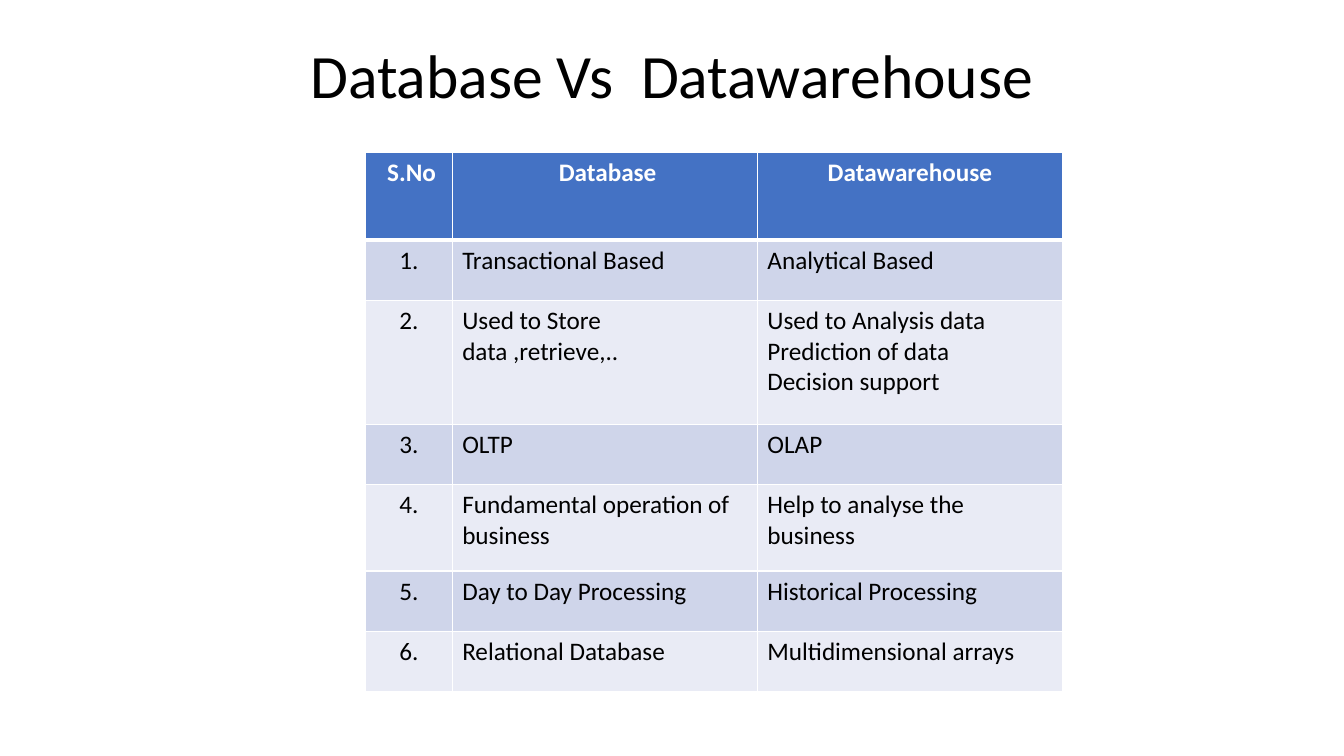
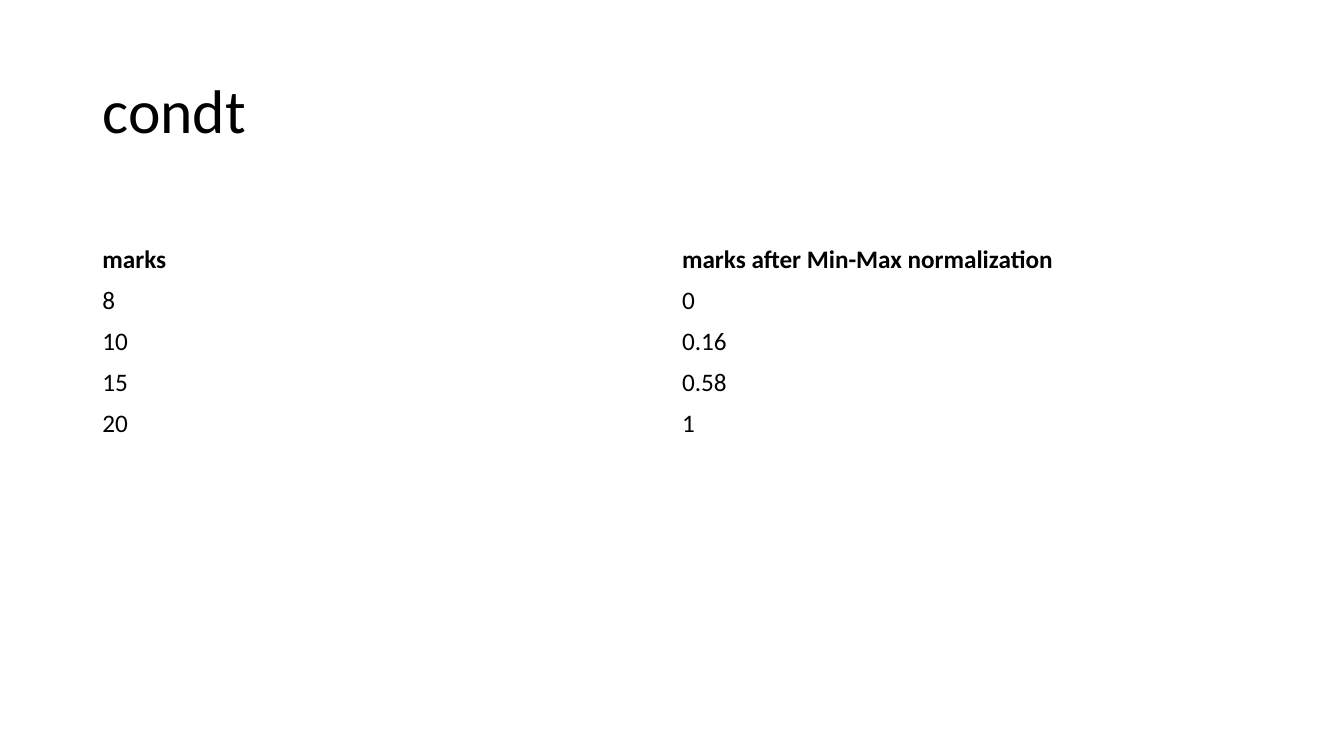
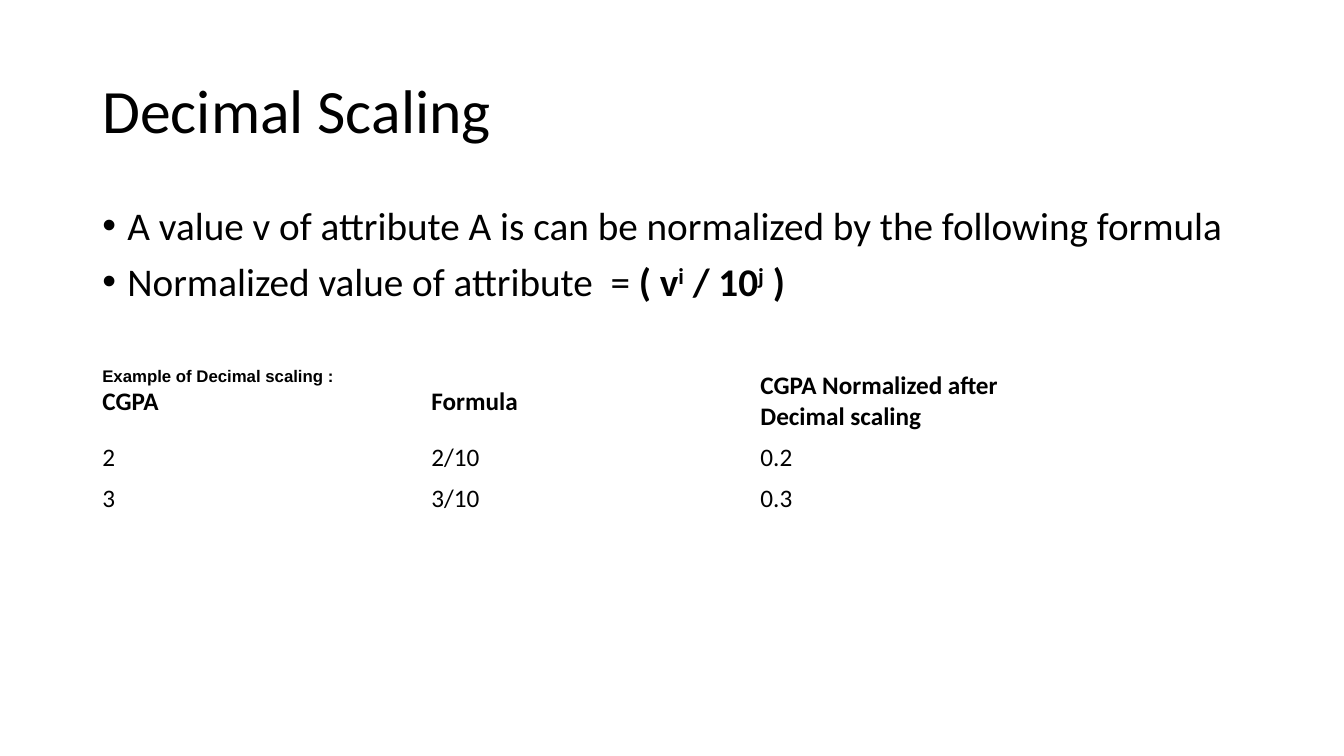
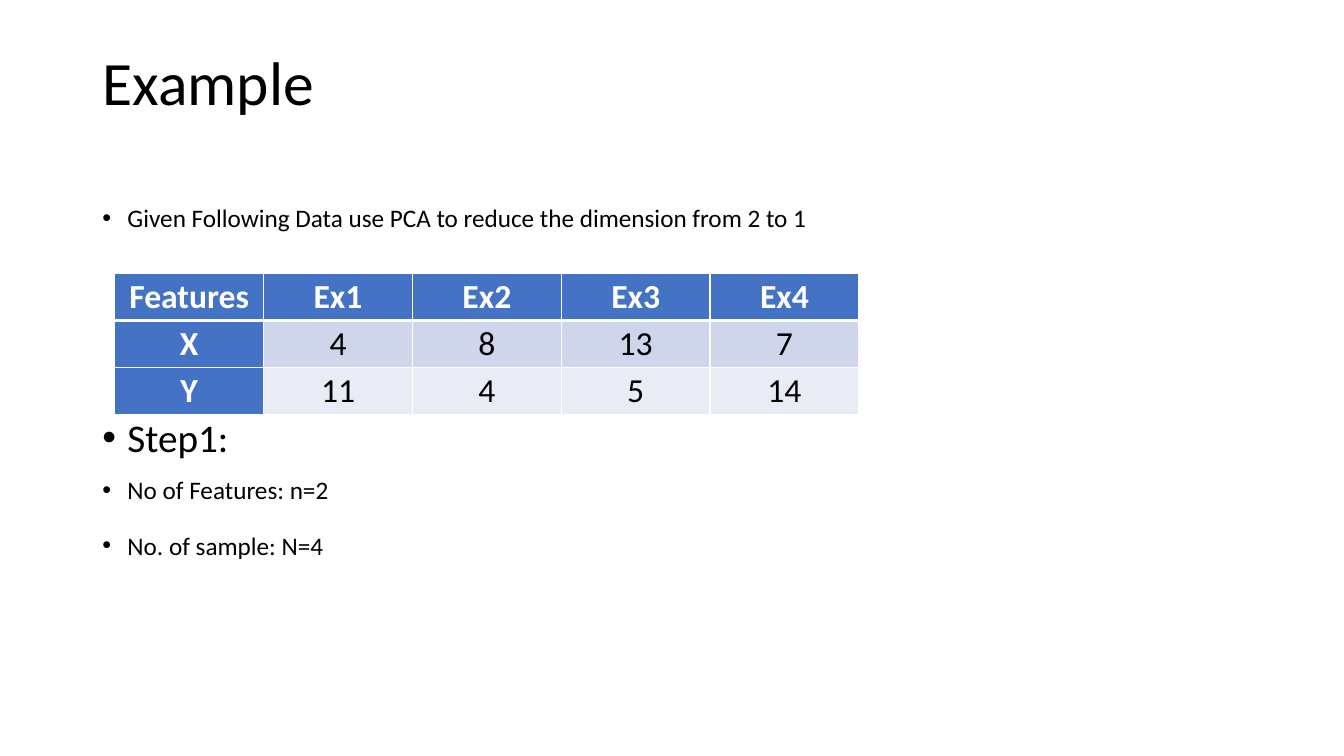
from lxml import etree
from pptx import Presentation
from pptx.dml.color import RGBColor
from pptx.enum.text import MSO_ANCHOR, MSO_AUTO_SIZE, PP_ALIGN
from pptx.oxml.ns import qn
from pptx.util import Pt

BLACK = RGBColor(0x00, 0x00, 0x00)
WHITE = RGBColor(0xFF, 0xFF, 0xFF)
BLUE = RGBColor(0x44, 0x72, 0xC4)
BAND_DARK = RGBColor(0xCF, 0xD5, 0xEA)
BAND_LIGHT = RGBColor(0xE9, 0xEB, 0xF5)
FONT = "Calibri"
LEFT, CENTER = PP_ALIGN.LEFT, PP_ALIGN.CENTER
TOP, MIDDLE = MSO_ANCHOR.TOP, MSO_ANCHOR.MIDDLE
MARGIN, CONTENT_W = 66, 828

prs = Presentation()
prs.slide_width, prs.slide_height = Pt(960), Pt(540)


def add_slide(title, title_h, align=LEFT, bullets=()):
    """Add a titled slide; each bullet is (runs, size, before, after, line spacing),
    each run (text, bold, raised)."""
    s = prs.slides.add_slide(prs.slide_layouts[5])
    sp = s.shapes.title
    sp.left, sp.top, sp.width, sp.height = Pt(MARGIN), Pt(28.8), Pt(CONTENT_W), Pt(title_h)
    tf = sp.text_frame
    tf.text = title
    tf.word_wrap, tf.auto_size, tf.vertical_anchor = True, MSO_AUTO_SIZE.NONE, MIDDLE
    p = tf.paragraphs[0]
    p.alignment, p.line_spacing = align, 0.9
    font = p.runs[0].font
    font.name, font.size, font.color.rgb = FONT, Pt(44), BLACK

    if bullets:
        tf = s.shapes.add_textbox(Pt(MARGIN), Pt(143.75), Pt(CONTENT_W), Pt(342.6)).text_frame
        tf.word_wrap = True
    for i, (runs, size, before, after, spacing) in enumerate(bullets):
        p = tf.add_paragraph() if i else tf.paragraphs[0]
        p.space_before, p.space_after, p.line_spacing = Pt(before), Pt(after), spacing
        pPr = p._p.get_or_add_pPr()
        pPr.set("marL", str(Pt(18)))
        pPr.set("indent", str(-Pt(18)))
        etree.SubElement(pPr, qn("a:buFont")).set("typeface", "Arial")
        etree.SubElement(pPr, qn("a:buChar")).set("char", "•")
        for text, bold, raised in runs:
            r = p.add_run()
            r.text = text
            r.font.name, r.font.size, r.font.bold = FONT, Pt(size), bold
            r.font.color.rgb = BLACK
            if raised:
                r.font._element.set("baseline", "30000")
    return s


def add_table(s, rows, left, top, col_widths, row_heights, size=18,
              banded=False, head_col=False):
    """Add a plain table, or a banded one with white rules and a blue header."""
    table = s.shapes.add_table(len(rows), len(rows[0]), Pt(left), Pt(top),
                               Pt(sum(col_widths)), Pt(sum(row_heights))).table
    table.first_row = table.horz_banding = banded
    for col, width in zip(table.columns, col_widths):
        col.width = Pt(width)
    for i, (row, height) in enumerate(zip(rows, row_heights)):
        table.rows[i].height = Pt(height)
        for j, text in enumerate(row):
            cell = table.cell(i, j)
            cell.text = text
            cell.vertical_anchor = TOP if banded else MIDDLE
            head = i == 0 or (head_col and j == 0)
            if banded:
                tcPr = cell._tc.get_or_add_tcPr()
                for side in "LRTB":
                    thick = (i, side) in ((0, "B"), (1, "T"))
                    ln = etree.SubElement(tcPr, qn("a:ln" + side), w=str(Pt(3 if thick else 1)))
                    fill = etree.SubElement(ln, qn("a:solidFill"))
                    etree.SubElement(fill, qn("a:srgbClr"), val=str(WHITE))
                cell.fill.solid()
                cell.fill.fore_color.rgb = BLUE if head else BAND_DARK if i % 2 else BAND_LIGHT
            else:
                cell.fill.background()
            if head_col:
                cell.margin_left = cell.margin_right = Pt(5)
                cell.margin_top = cell.margin_bottom = 0
            for p in cell.text_frame.paragraphs:
                p.alignment = CENTER if banded and (head or head_col or j == 0) else LEFT
                if head_col:
                    p.line_spacing = 1.07
                font = p.runs[0].font
                font.name, font.size, font.bold = FONT, Pt(size), head
                font.color.rgb = WHITE if banded and head else BLACK


# Database and data warehouse
s = add_slide("Database Vs  Datawarehouse", 54.7, CENTER)
comparison = [
    (" S.No", " Database", "Datawarehouse"),
    ("1.", "Transactional Based", "Analytical Based"),
    ("2.", "Used to Store data ,retrieve,..",
     "Used to Analysis data\nPrediction of data\nDecision support"),
    ("3.", "OLTP", "OLAP"),
    ("4.", "Fundamental operation of business", "Help to analyse the business"),
    ("5.", "Day to Day Processing", "Historical Processing"),
    ("6.", "Relational Database", "Multidimensional arrays"),
]
add_table(s, comparison, 261, 109, [62, 218, 218],
          [62.5, 43, 88.5, 43, 62, 43, 43], banded=True)

# Min-max normalization
s = add_slide("condt", 104.4)
marks = [
    ("marks", "marks after Min-Max normalization"),
    ("8", "0"),
    ("10", "0.16"),
    ("15", "0.58"),
    ("20", "1"),
]
add_table(s, marks, MARGIN, 171, [CONTENT_W / 2] * 2, [29.2] * 5)

# Decimal scaling
s = add_slide("Decimal Scaling", 104.4, bullets=[
    ([("A value v of attribute A is can be normalized by the following formula", False, False)],
     28, 10, 0, 0.9),
    ([("Normalized value of attribute  = ", False, False), ("( v", True, False),
      ("i", True, True), (" / 10", True, False), ("j", True, True), (" )", True, False)],
     28, 10, 0, 0.9),
])
scaling = [
    ("CGPA", "Formula", "CGPA Normalized after Decimal scaling"),
    ("2", "2/10", "0.2"),
    ("3", "3/10", "0.3"),
]
add_table(s, scaling, MARGIN, 261.3, [235] * 3, [51.2, 29.2, 29.2])
tf = s.shapes.add_textbox(Pt(MARGIN), Pt(258), Pt(818), Pt(21)).text_frame
tf.word_wrap = True
tf.text = "Example of Decimal scaling :"
font = tf.paragraphs[0].runs[0].font
font.name, font.size, font.bold, font.color.rgb = "Arial", Pt(12), True, BLACK

# PCA example; the gap before "Step1:" leaves room for the table
s = add_slide("Example", 64, bullets=[
    ([("Given Following Data use PCA to reduce the dimension from 2 to 1", False, False)],
     18, 10, 0, 0.9),
    ([("Step1:", False, False)], 28, 132, 0, 0.9),
    ([("No of Features: n=2", False, False)], 18, 10, 8, 1.0),
    ([("No. of sample: N=4", False, False)], 18, 10, 8, 1.0),
])
samples = [
    ("Features", "Ex1", "Ex2", "Ex3", "Ex4"),
    ("X", "4", "8", "13", "7"),
    ("Y", "11", "4", "5", "14"),
]
add_table(s, samples, 82, 195.4, [106.3] * 5, [33.6] * 3, 24, banded=True, head_col=True)

prs.save("out.pptx")
